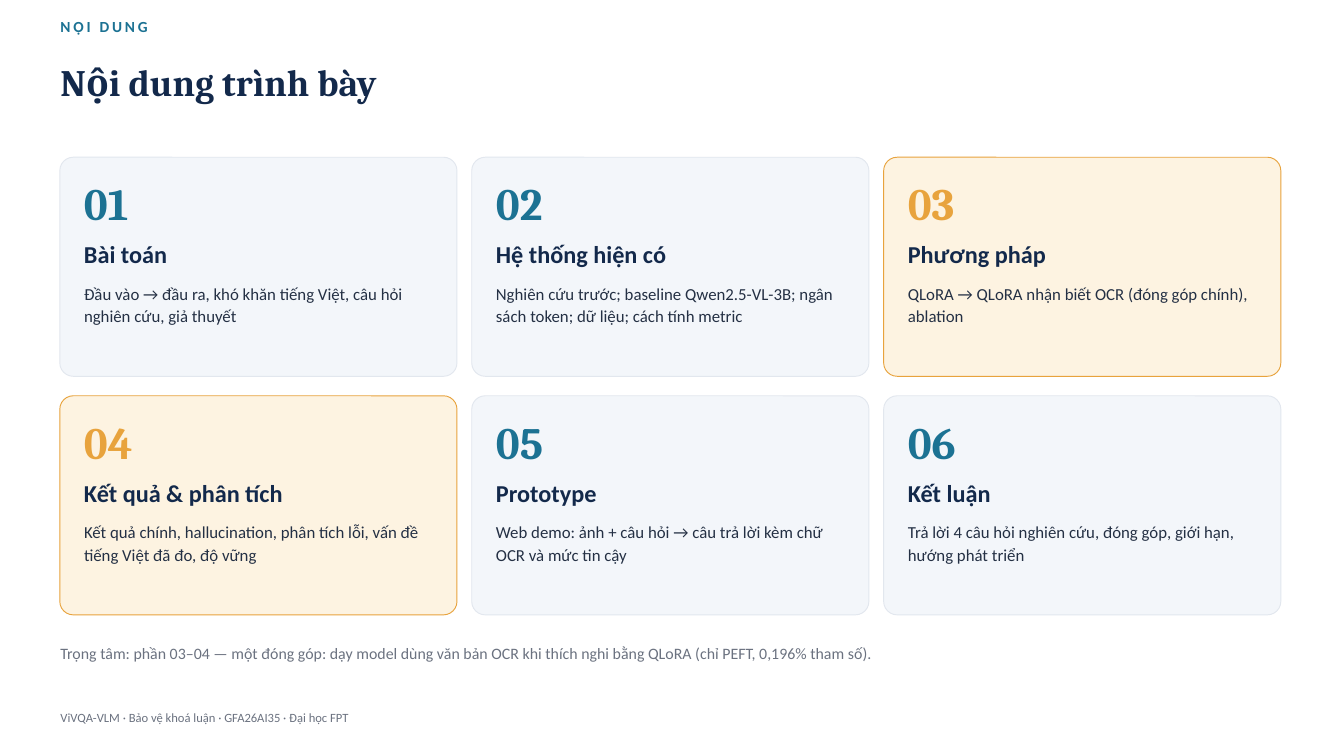
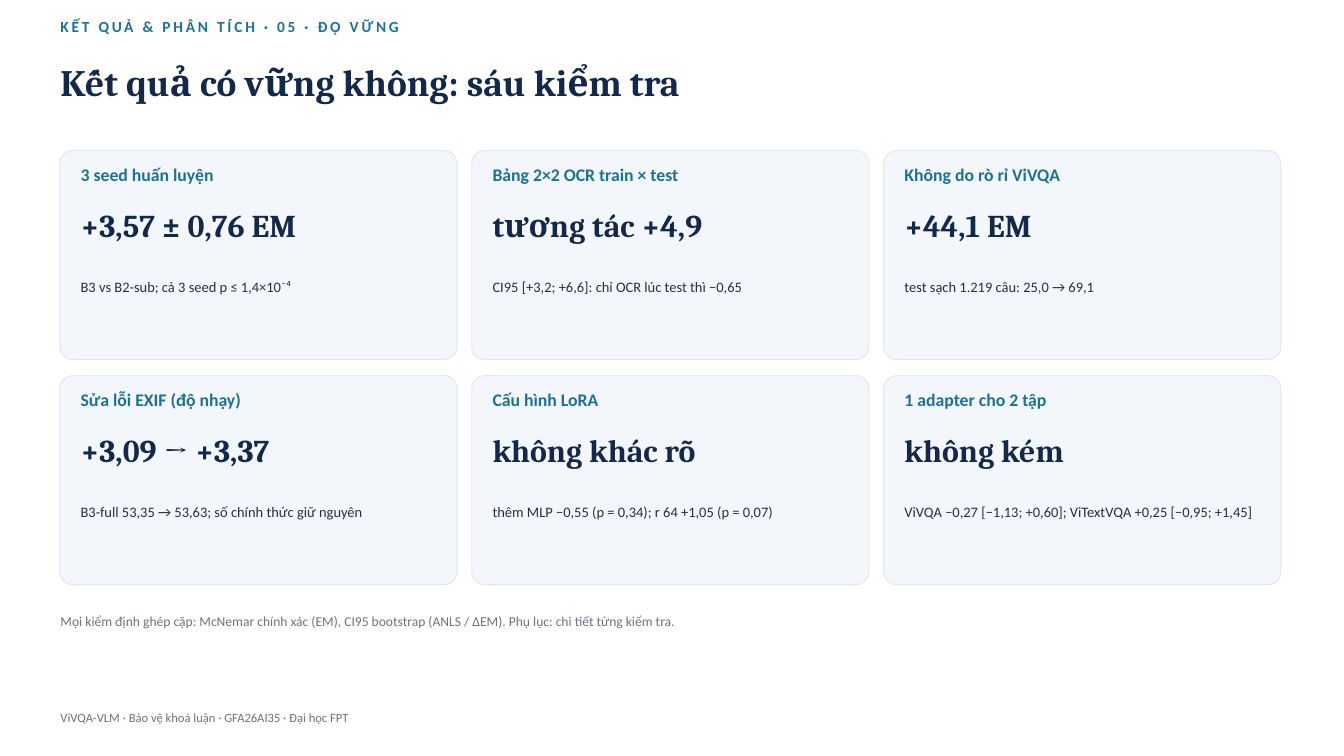
import pptx
import pptx.dml.color
import pptx.enum.shapes
import pptx.enum.text
import pptx.util

Inches = pptx.util.Inches

NAVY, TEAL, AMBER = "13294B", "1C7293", "E8A33D"
INK, GREY = "243044", "6B7280"
PALE, PALE_EDGE, CREAM = "F3F6FA", "E2E7EE", "FDF3E1"
HEADING_FONT, BODY_FONT = "Cambria", "Calibri"
FOOTER = "ViVQA-VLM · Bảo vệ khoá luận · GFA26AI35 · Đại học FPT"
LEFT, COLUMN_STEP, CARD_WIDTH, COLUMNS = 0.89, 6.13, 5.91, 3


def rgb(hex_code):
    return pptx.dml.color.RGBColor.from_string(hex_code)


def write(box, text, *, at, size, line, colour, font=BODY_FONT, bold=False, spacing=0):
    """Place box at (left, top, width, height) and fill it; line is the exact leading in points."""
    box.left, box.top, box.width, box.height = [Inches(length) for length in at]
    frame = box.text_frame
    frame.word_wrap = True
    frame.auto_size = pptx.enum.text.MSO_AUTO_SIZE.SHAPE_TO_FIT_TEXT
    frame.vertical_anchor = pptx.enum.text.MSO_ANCHOR.TOP
    frame.margin_left = frame.margin_top = frame.margin_right = frame.margin_bottom = 0
    paragraph = frame.paragraphs[0]
    paragraph.alignment = pptx.enum.text.PP_ALIGN.LEFT
    paragraph.line_spacing = pptx.util.Pt(line)
    paragraph.space_before = pptx.util.Pt(0)
    run = paragraph.add_run()
    run.text = text
    run.font.name = font
    run.font.size = pptx.util.Pt(size)
    run.font.bold = bold
    run.font.color.rgb = rgb(colour)
    if spacing:
        run.font._element.set("spc", str(spacing * 100))


# Each part of a card: offset from the card's top, width, height, and text format.
agenda = {
    "section": "NỘI DUNG",
    "title": "Nội dung trình bày",
    "top": 2.34, "height": 3.26, "row_step": 3.55, "corner": 0.2, "indent": 0.36,
    "highlighted": ("03", "04"),
    "parts": [
        (0.18, 2, 1.08, dict(size=48, line=64.5, colour=TEAL, font=HEADING_FONT, bold=True)),
        (1.17, 5.3, 0.69, dict(size=26, line=34.9, colour=NAVY, bold=True)),
        (1.84, 5.25, 1.37, dict(size=18, line=24.2, colour=INK)),
    ],
    "cards": [
        ("01", "Bài toán",
         "Đầu vào → đầu ra, khó khăn tiếng Việt, câu hỏi nghiên cứu, giả thuyết"),
        ("02", "Hệ thống hiện có",
         "Nghiên cứu trước; baseline Qwen2.5-VL-3B; ngân sách token; dữ liệu; cách tính metric"),
        ("03", "Phương pháp",
         "QLoRA → QLoRA nhận biết OCR (đóng góp chính), ablation"),
        ("04", "Kết quả & phân tích",
         "Kết quả chính, hallucination, phân tích lỗi, vấn đề tiếng Việt đã đo, độ vững"),
        ("05", "Prototype",
         "Web demo: ảnh + câu hỏi → câu trả lời kèm chữ OCR và mức tin cậy"),
        ("06", "Kết luận",
         "Trả lời 4 câu hỏi nghiên cứu, đóng góp, giới hạn, hướng phát triển"),
    ],
    "note": "Trọng tâm: phần 03–04 — một đóng góp: dạy model dùng văn bản OCR "
            "khi thích nghi bằng QLoRA (chỉ PEFT, 0,196% tham số).",
    "note_format": dict(at=(0.9, 9.54, 18.2, 0.56), size=17, line=22.8),
}
robustness = {
    "section": "KẾT QUẢ & PHÂN TÍCH · 05 · ĐỘ VỮNG",
    "title": "Kết quả có vững không: sáu kiểm tra",
    "top": 2.24, "height": 3.11, "row_step": 3.35, "corner": 0.19, "indent": 0.31,
    "highlighted": (),
    "parts": [
        (0.16, 5.3, 0.57, dict(size=19, line=25.5, colour=TEAL, bold=True)),
        (0.75, 5.3, 1.06, dict(size=34, line=45.7, colour=NAVY, font=HEADING_FONT, bold=True)),
        (1.87, 5.3, 1.14, dict(size=15.5, line=20.8, colour=INK)),
    ],
    "cards": [
        ("3 seed huấn luyện", "+3,57 ± 0,76 EM", "B3 vs B2-sub; cả 3 seed p ≤ 1,4×10⁻⁴"),
        ("Bảng 2×2 OCR train × test", "tương tác +4,9",
         "CI95 [+3,2; +6,6]: chỉ OCR lúc test thì −0,65"),
        ("Không do rò rỉ ViVQA", "+44,1 EM", "test sạch 1.219 câu: 25,0 → 69,1"),
        ("Sửa lỗi EXIF (độ nhạy)", "+3,09 → +3,37",
         "B3-full 53,35 → 53,63; số chính thức giữ nguyên"),
        ("Cấu hình LoRA", "không khác rõ",
         "thêm MLP −0,55 (p = 0,34); r 64 +1,05 (p = 0,07)"),
        ("1 adapter cho 2 tập", "không kém",
         "ViVQA −0,27 [−1,13; +0,60]; ViTextVQA +0,25 [−0,95; +1,45]"),
    ],
    "note": "Mọi kiểm định ghép cặp: McNemar chính xác (EM), CI95 bootstrap (ANLS / ΔEM). "
            "Phụ lục: chi tiết từng kiểm tra.",
    "note_format": dict(at=(0.9, 9.09, 18.2, 0.76), size=14.5, line=19.5),
}

deck = pptx.Presentation()
deck.slide_width, deck.slide_height = Inches(20), Inches(11.25)
title_only = deck.slide_layouts[5]

for content in (agenda, robustness):
    slide = deck.slides.add_slide(title_only)
    shapes = slide.shapes
    write(shapes.title, content["title"], at=(0.9, 0.75, 18.2, 1.23),
          size=40, line=57.6, colour=NAVY, font=HEADING_FONT, bold=True)
    write(shapes.add_textbox(0, 0, 0, 0), content["section"], at=(0.9, 0.26, 18.2, 0.67),
          size=16.5, line=19.8, colour=TEAL, bold=True, spacing=3)

    for index, texts in enumerate(content["cards"]):
        row, column = divmod(index, COLUMNS)
        left = LEFT + column * COLUMN_STEP
        top = content["top"] + row * content["row_step"]
        highlighted = texts[0] in content["highlighted"]

        card = shapes.add_shape(pptx.enum.shapes.MSO_SHAPE.ROUNDED_RECTANGLE, Inches(left),
                                Inches(top), Inches(CARD_WIDTH), Inches(content["height"]))
        card.adjustments[0] = content["corner"] / content["height"]
        card.shadow.inherit = False
        card.fill.solid()
        card.fill.fore_color.rgb = rgb(CREAM if highlighted else PALE)
        card.line.color.rgb = rgb(AMBER if highlighted else PALE_EDGE)
        card.line.width = pptx.util.Pt(1)

        for text, (offset, width, height, style) in zip(texts, content["parts"]):
            if highlighted and style["colour"] == TEAL:
                style = {**style, "colour": AMBER}
            write(shapes.add_textbox(0, 0, 0, 0), text,
                  at=(left + content["indent"], top + offset, width, height), **style)

    write(shapes.add_textbox(0, 0, 0, 0), content["note"], colour=GREY, **content["note_format"])
    write(shapes.add_textbox(0, 0, 0, 0), FOOTER, at=(0.9, 10.53, 15, 0.45),
          size=13.5, line=18.1, colour=GREY)

deck.save("out.pptx")
